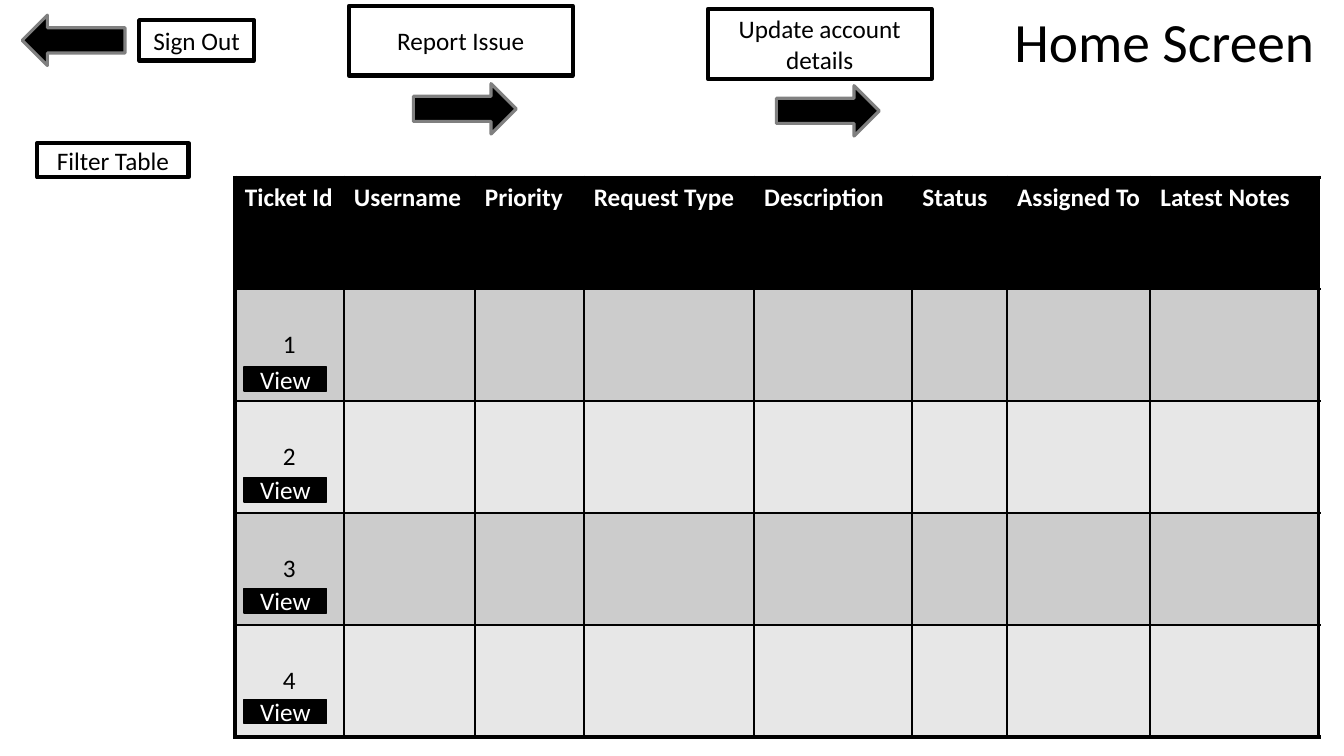
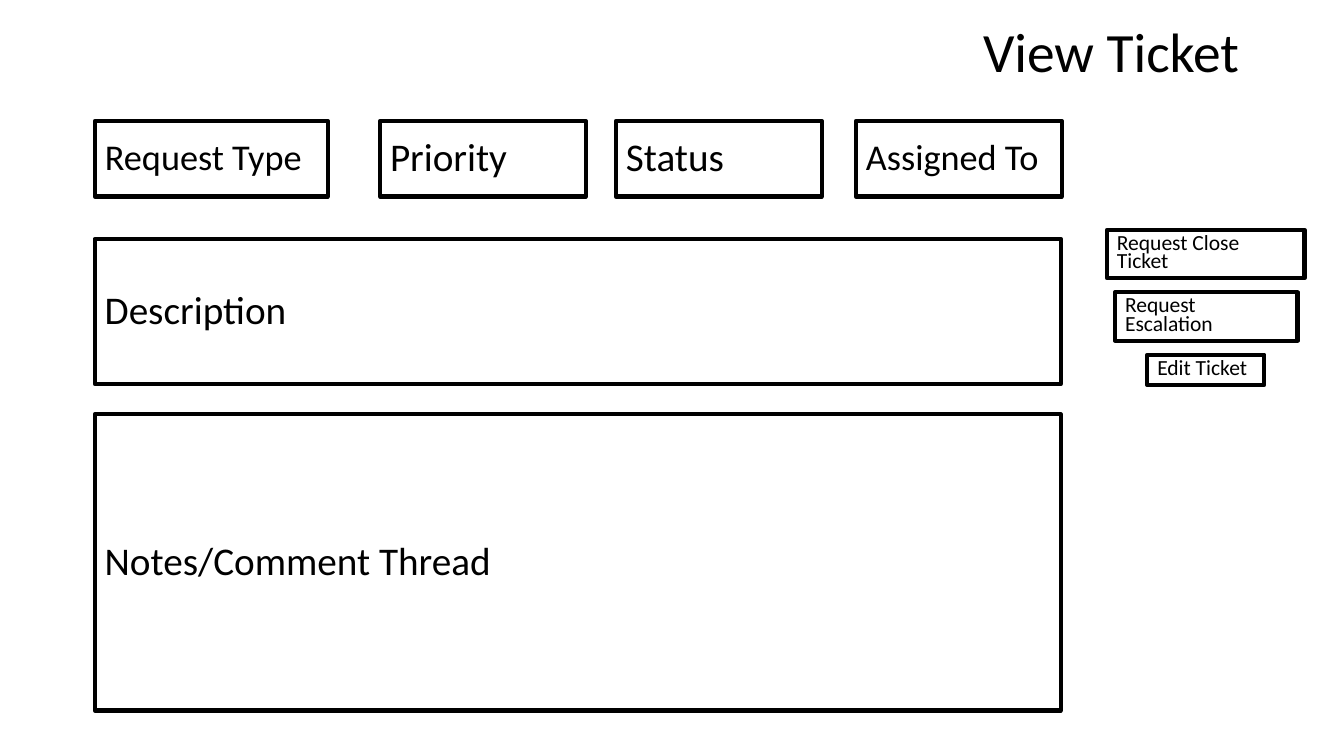
from lxml.etree import SubElement
from pptx import Presentation
from pptx.dml.color import RGBColor
from pptx.enum.shapes import MSO_SHAPE
from pptx.enum.text import MSO_ANCHOR, MSO_AUTO_SIZE, PP_ALIGN
from pptx.oxml.ns import qn
from pptx.util import Inches, Pt

BLACK = RGBColor(0x00, 0x00, 0x00)
WHITE = RGBColor(0xFF, 0xFF, 0xFF)
ARROW_EDGE = RGBColor(0x80, 0x80, 0x80)
DARK_BAND = RGBColor(0xCC, 0xCC, 0xCC)
LIGHT_BAND = RGBColor(0xE7, 0xE7, 0xE7)
FONT = "Calibri"


def write(frame, text, size, color=BLACK, align=PP_ALIGN.LEFT, spacing=1.0, before=0, bold=False):
    """Put one formatted run into a text frame and return its paragraph."""
    frame.word_wrap = True
    paragraph = frame.paragraphs[0]
    paragraph.alignment = align
    paragraph.line_spacing = spacing
    paragraph.space_before = Pt(before)
    run = paragraph.add_run()
    run.text = text
    run.font.name = FONT
    run.font.size = Pt(size)
    run.font.bold = bold
    run.font.color.rgb = color
    return paragraph


def style(shape, fill=WHITE, line=BLACK, width=3):
    """Give a shape its fill and outline, no shadow and middle anchoring."""
    shape.shadow.inherit = False
    shape.fill.solid()
    shape.fill.fore_color.rgb = fill
    shape.line.color.rgb = line
    shape.line.width = Pt(width)
    shape.text_frame.vertical_anchor = MSO_ANCHOR.MIDDLE
    return shape


prs = Presentation()
prs.slide_width = Inches(13.33)
prs.slide_height = Inches(7.5)

home = prs.slides.add_slide(prs.slide_layouts[5])
ticket = prs.slides.add_slide(prs.slide_layouts[1])

# Titles
for slide, heading, place in [
    (home, "Home Screen", (9.96, 0.15, 3.23, 0.58)),
    (ticket, "View Ticket", (9.65, 0.3, 3.21, 0.48)),
]:
    title = slide.shapes.title
    title.left, title.top, title.width, title.height = map(Inches, place)
    title.text_frame.auto_size = MSO_AUTO_SIZE.NONE
    title.text_frame.vertical_anchor = MSO_ANCHOR.MIDDLE
    write(title.text_frame, heading, 39.6, spacing=0.9)

# Home screen: ticket table
columns = [("Ticket Id", 1.08), ("Username", 1.3), ("Priority", 1.08), ("Request Type", 1.69),
           ("Description", 1.57), ("Status", 0.94), ("Assigned To", 1.42), ("Latest Notes", 1.67)]
ROWS = 5
tickets = home.shapes.add_table(ROWS, len(columns), Inches(2.33), Inches(1.76),
                                Inches(10.74), Inches(5.54)).table
for row in tickets.rows:
    row.height = Inches(1.11)

for c, (label, width) in enumerate(columns):
    tickets.columns[c].width = Inches(width)
    for r in range(ROWS):
        cell = tickets.cell(r, c)
        outer_sides = {"lnL": c == 0, "lnR": c == len(columns) - 1,
                       "lnT": r == 0, "lnB": r == ROWS - 1}
        properties = cell._tc.get_or_add_tcPr()
        for side, is_outer in outer_sides.items():
            border = SubElement(properties, qn(f"a:{side}"), w=str(Pt(3 if is_outer else 1.5)))
            SubElement(SubElement(border, qn("a:solidFill")), qn("a:srgbClr"), val=str(BLACK))
        cell.fill.solid()
        if r == 0:
            cell.fill.fore_color.rgb = BLACK
            write(cell.text_frame, label, 18, WHITE, bold=True)
        else:
            cell.fill.fore_color.rgb = DARK_BAND if r % 2 else LIGHT_BAND
            if c == 0:
                cell.vertical_anchor = MSO_ANCHOR.MIDDLE
                write(cell.text_frame, str(r), 18, align=PP_ALIGN.CENTER)

# Home screen: buttons
for label, place in [
    ("Report Issue", (3.46, 0.06, 2.22, 0.69)),
    ("Update account details", (7.02, 0.09, 2.22, 0.69)),
    ("Filter Table", (0.37, 1.42, 1.5, 0.34)),
    ("Sign Out", (1.38, 0.2, 1.14, 0.4)),
]:
    button = style(home.shapes.add_shape(MSO_SHAPE.RECTANGLE, *map(Inches, place)))
    write(button.text_frame, label, 18, align=PP_ALIGN.CENTER)

for i in range(ROWS - 1):
    view = home.shapes.add_shape(MSO_SHAPE.RECTANGLE, Inches(2.42), Inches(3.64 + 1.1 * i),
                                 Inches(0.82), Inches(0.24))
    style(view, fill=BLACK, width=1)
    write(view.text_frame, "View", 18, WHITE, PP_ALIGN.CENTER)

for left, top, rotation in [(4.1, 0.83, 0), (7.7, 0.85, 0), (0.22, 0.15, 180)]:
    arrow = home.shapes.add_shape(MSO_SHAPE.RIGHT_ARROW, Inches(left), Inches(top),
                                  Inches(1.02), Inches(0.5))
    arrow.rotation = rotation
    style(arrow, fill=BLACK, line=ARROW_EDGE, width=2.25)

# View ticket: the request type sits in the body placeholder
request_type = style(ticket.placeholders[1])
request_type.left, request_type.top, request_type.width, request_type.height = map(
    Inches, (0.94, 1.2, 2.31, 0.75))
request_type.text_frame.auto_size = MSO_AUTO_SIZE.NONE
entry = write(request_type.text_frame, "Request Type", 25.9, spacing=0.9, before=10)
entry_properties = entry._p.get_or_add_pPr()
entry_properties.set("marL", "0")
entry_properties.set("indent", "0")
SubElement(entry_properties, qn("a:buNone"))

# View ticket: other fields and actions
for label, place, size, spacing in [
    ("Priority", (3.77, 1.2, 2.04, 0.75), 28, 0.9),
    ("Status", (6.11, 1.2, 2.04, 0.75), 28, 0.9),
    ("Assigned To", (8.49, 1.2, 2.04, 0.75), 25.9, 0.9),
    ("Description", (0.94, 2.37, 9.58, 1.44), 28, 0.9),
    ("Notes/Comment Thread", (0.94, 4.11, 9.58, 2.94), 28, 0.9),
    ("Request Close Ticket", (10.98, 2.28, 1.96, 0.48), 15.4, 0.7),
    ("Request Escalation", (11.06, 2.9, 1.81, 0.48), 15.4, 0.7),
    ("Edit Ticket", (11.38, 3.52, 1.16, 0.3), 15.4, 0.7),
]:
    field = style(ticket.shapes.add_shape(MSO_SHAPE.RECTANGLE, *map(Inches, place)))
    write(field.text_frame, label, size, spacing=spacing, before=10)

prs.save("out.pptx")
